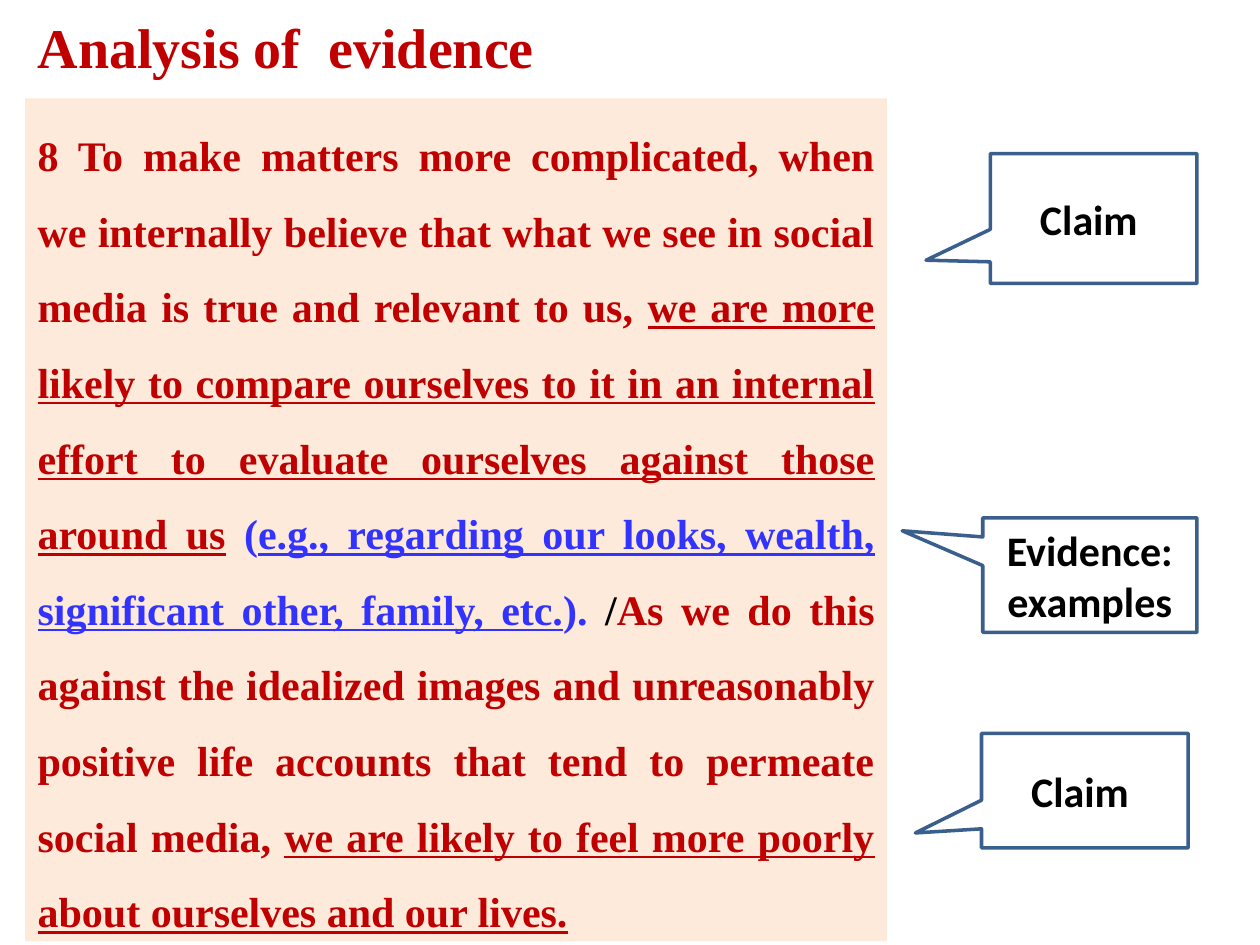
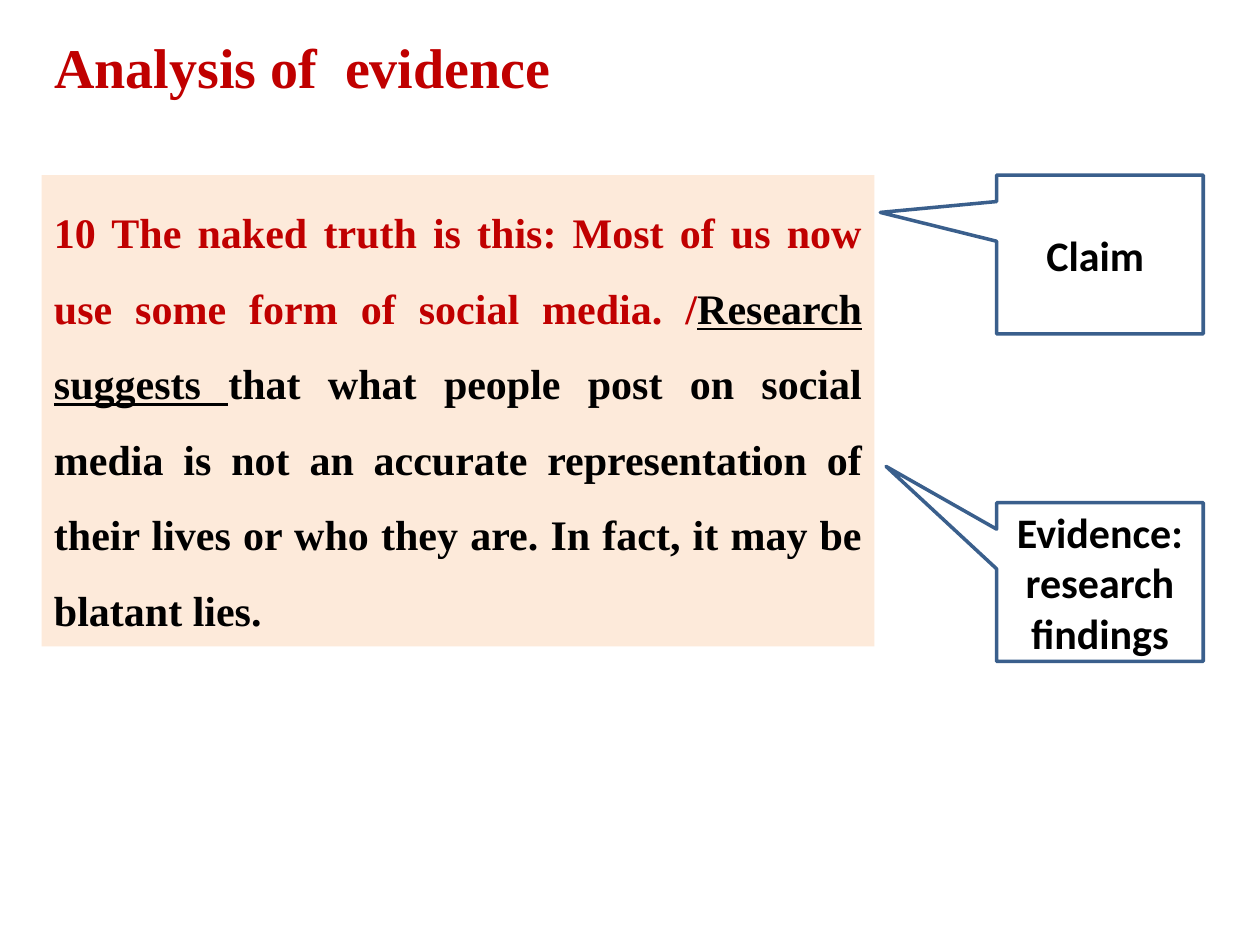
"""Build two slides that label claims and evidence in a passage."""
from pptx import Presentation
from pptx.dml.color import RGBColor
from pptx.enum.shapes import MSO_SHAPE as SHAPE
from pptx.enum.text import MSO_ANCHOR as ANCHOR, MSO_AUTO_SIZE as AUTO, PP_ALIGN as ALIGN
from pptx.util import Inches, Pt

COLORS = {"red": "C00000", "blue": "3333FF", "black": "000000",
          "panel": "FDEADA", "white": "FFFFFF", "outline": "3A5F8C"}
SERIF, SANS = "Times New Roman", "Calibri"
TITLE = "Analysis of  evidence"

SLIDES = [
    {
        "title_at": (0.2, 0.05, 5, 0.64),
        "passage_at": (0.2, 0.78, 6.84, 6.69),
        "passage": [
            ("8 To make matters more complicated, when we internally believe that what we "
             "see in social media is true and relevant to us, ", "red", False),
            ("we are more likely to compare ourselves to it in an internal effort to "
             "evaluate ourselves against those around us", "red", True),
            (" ", "red", False),
            ("(", "blue", False),
            ("e.g., regarding our looks, wealth, significant other, family, etc.", "blue", True),
            ("). ", "blue", False),
            ("/", "black", False),
            ("As we do this against the idealized images and unreasonably positive life "
             "accounts that tend to permeate social media, ", "red", False),
            ("we are likely to feel more poorly about ourselves and our lives.", "red", True),
        ],
        "callouts": [
            ("Evidence: examples", (7.8, 4.11, 1.7, 0.91), (-0.876, -0.387)),
            ("Claim ", (7.86, 1.22, 1.64, 1.03), (-0.811, 0.321)),
            ("Claim ", (7.79, 5.82, 1.64, 0.91), (-0.82, 0.369)),
        ],
    },
    {
        "title_at": (0.33, 0.21, 5, 0.64),
        "passage_at": (0.33, 1.39, 6.61, 3.74),
        "passage": [
            ("10 The naked truth is this: Most of us now use some form of social media. /",
             "red", False),
            ("Research suggests ", "black", True),
            ("that what people post on social media is not an accurate representation of "
             "their lives or who they are. In fact, it may be blatant lies.", "black", False),
        ],
        "callouts": [
            ("Evidence: research findings", (7.91, 3.99, 1.64, 1.26), (-1.035, -0.729)),
            ("Claim ", (7.91, 1.39, 1.64, 1.26), (-1.063, -0.265)),
        ],
    },
]


def rgb(name):
    return RGBColor.from_string(COLORS[name])


def set_all(target, values):
    for name, value in values.items():
        setattr(target, name, value)


def write(sp, runs, font, size, anchor, **paragraph):
    tf = sp.text_frame
    set_all(tf, {"word_wrap": True, "auto_size": AUTO.NONE, "vertical_anchor": anchor})
    p = tf.paragraphs[0]
    set_all(p, paragraph)
    for text, color, underline in runs:
        r = p.add_run()
        r.text = text
        set_all(r.font, {"name": font, "size": Pt(size), "bold": True, "underline": underline})
        r.font.color.rgb = rgb(color)


def add_box(s, kind, at, fill):
    sp = s.shapes.add_shape(kind, *map(Inches, at))
    sp.shadow.inherit = False
    sp.fill.solid()
    sp.fill.fore_color.rgb = rgb(fill)
    return sp


def add_title(s, at):
    sp = s.shapes.title
    set_all(sp, dict(zip(("left", "top", "width", "height"), map(Inches, at))))
    write(sp, [(TITLE, "red", False)], SERIF, 32, ANCHOR.TOP, alignment=ALIGN.LEFT)


def add_passage(s, at, runs):
    sp = add_box(s, SHAPE.RECTANGLE, at, "panel")
    sp.line.fill.background()
    write(sp, runs, SERIF, 24, ANCHOR.TOP, alignment=ALIGN.JUSTIFY, line_spacing=1.5)


def add_callout(s, label, at, tip):
    sp = add_box(s, SHAPE.RECTANGULAR_CALLOUT, at, "white")
    sp.fill.background()
    sp.line.color.rgb = rgb("outline")
    sp.line.width = Pt(2)
    for i, offset in enumerate(tip):
        sp.adjustments[i] = offset
    write(sp, [(label, "black", False)], SANS, 24, ANCHOR.MIDDLE, alignment=ALIGN.CENTER)


def main():
    prs = Presentation()
    prs.slide_width, prs.slide_height = Inches(10), Inches(7.5)
    for content in SLIDES:
        s = prs.slides.add_slide(prs.slide_layouts[5])
        add_title(s, content["title_at"])
        add_passage(s, content["passage_at"], content["passage"])
        for callout in content["callouts"]:
            add_callout(s, *callout)
    prs.save("out.pptx")


if __name__ == "__main__":
    main()
